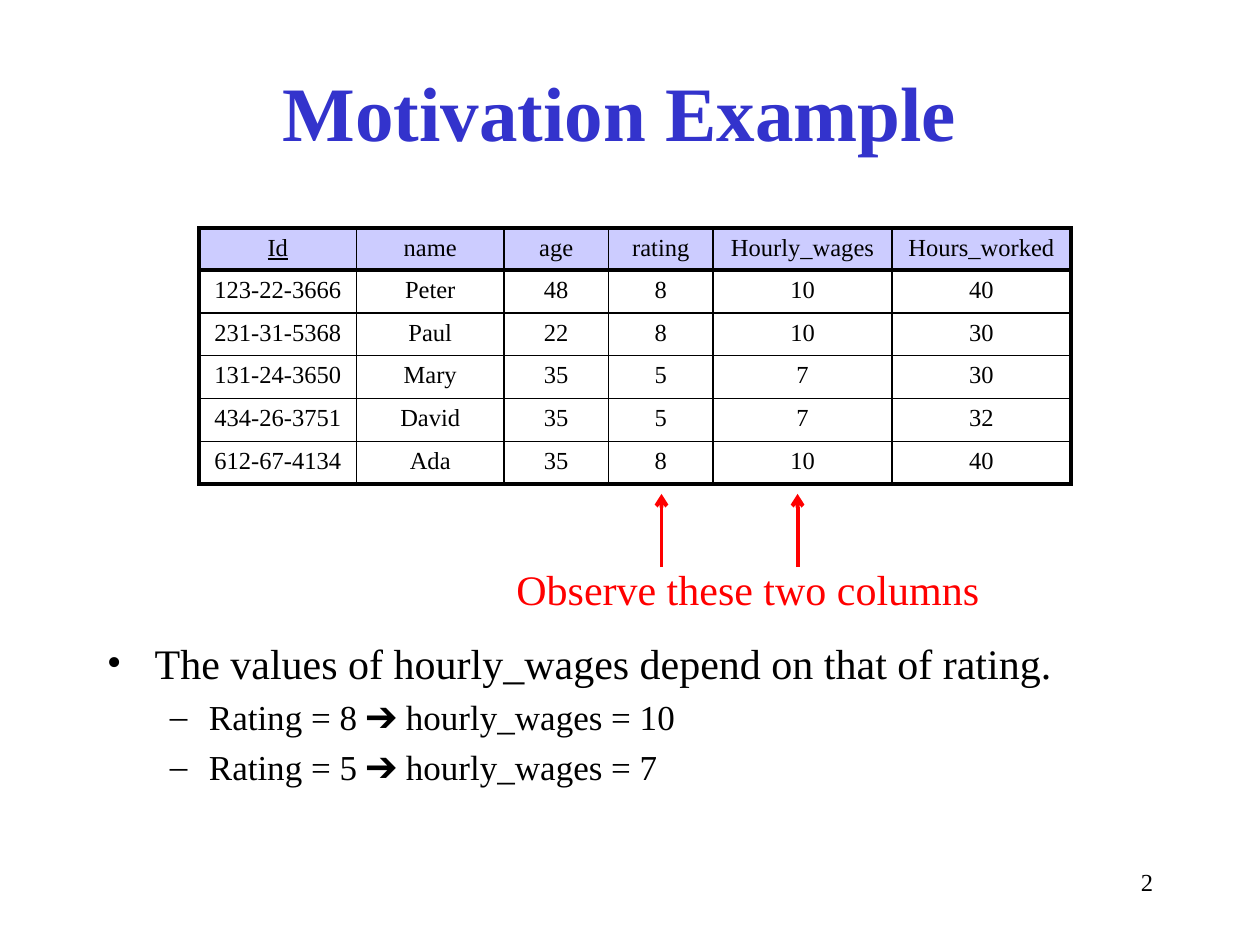
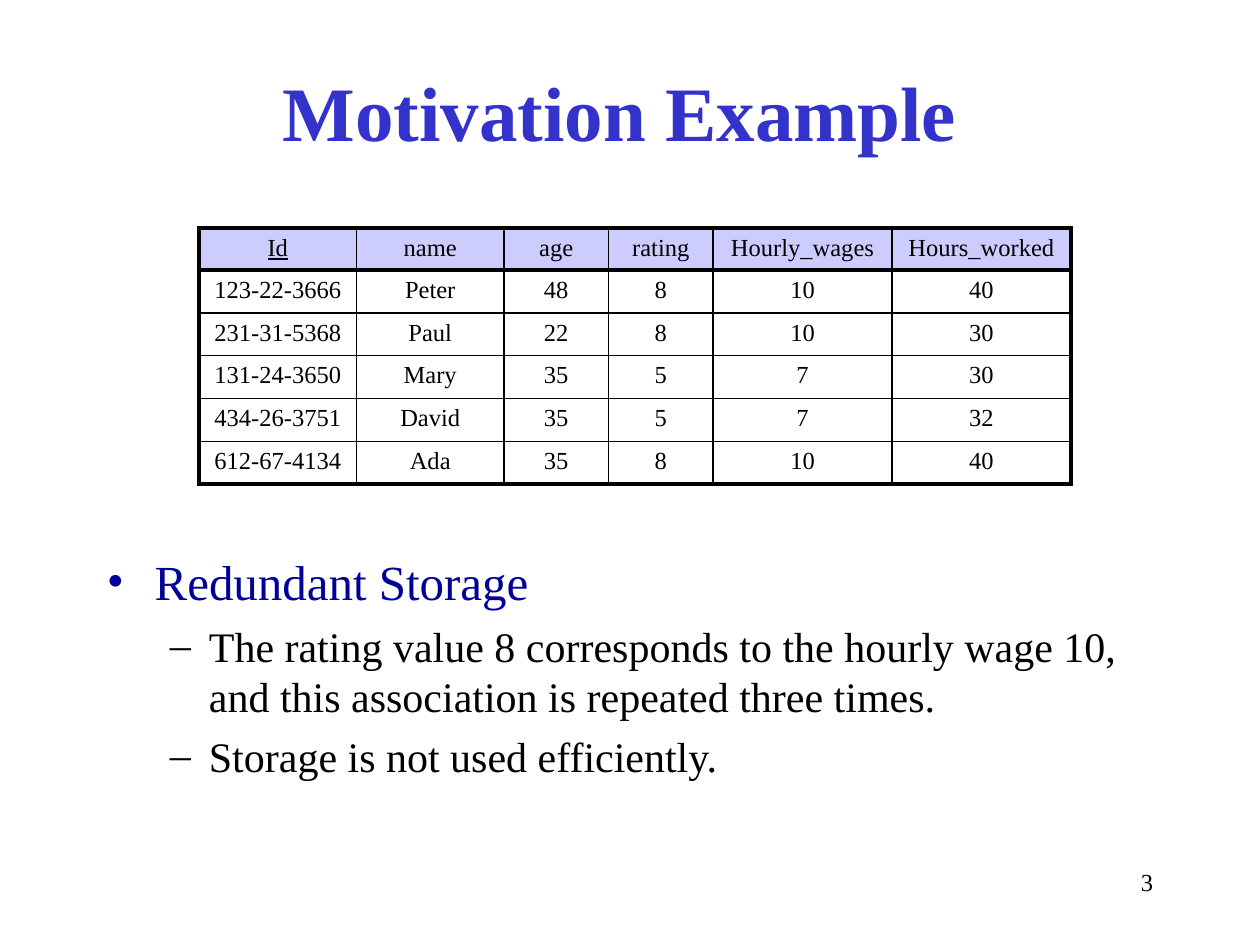
from dataclasses import dataclass

from lxml import etree
from pptx import Presentation
from pptx.dml.color import RGBColor
from pptx.enum import shapes, text
from pptx.oxml.ns import qn
from pptx.util import Inches, Pt


@dataclass(frozen=True)
class Theme:
    font: str = "Times New Roman"
    ink: str = "000000"
    title: str = "3333CC"
    topic: str = "000099"
    alert: str = "FF0000"
    header_fill: str = "CCCCFF"
    title_size: int = 44
    topic_size: int = 28
    body_size: int = 24
    detail_size: int = 20
    small_size: int = 14
    thick: float = 2.25
    thin: float = 1
    paragraph_gap: float = 0.23  # share of the type size


@dataclass(frozen=True)
class Box:
    left: float
    top: float
    width: float
    height: float

    def emu(self):
        return [Inches(v) for v in (self.left, self.top, self.width, self.height)]


THEME = Theme()
CENTER, RIGHT = text.PP_ALIGN.CENTER, text.PP_ALIGN.RIGHT

TITLE_BOX = Box(0.67, 0.25, 8.5, 1.25)
NUMBER_BOX = Box(7.17, 6.83, 2.08, 0.5)
TABLE_BOX = Box(1.58, 1.81, 6.92, 2.03)
CALLOUT_BOX = Box(4, 3.92, 3.91, 1.01)

COLUMN_WIDTHS = (1.25, 1.17, 0.83, 0.83, 1.42, 1.42)
HEADER_HEIGHT = 0.33
EMPLOYEES = (
    ("Id", "name", "age", "rating", "Hourly_wages", "Hours_worked"),
    ("123-22-3666", "Peter", "48", "8", "10", "40"),
    ("231-31-5368", "Paul", "22", "8", "10", "30"),
    ("131-24-3650", "Mary", "35", "5", "7", "30"),
    ("434-26-3751", "David", "35", "5", "7", "32"),
    ("612-67-4134", "Ada", "35", "8", "10", "40"),
)
# Bullet sign, left margin and hanging indent for each level
BULLETS = (("•", 0.38, 0.38), ("–", 0.81, 0.31))


def add_xml(parent, tag, **attributes):
    return etree.SubElement(parent, qn(tag), attributes)


def write(paragraph, wording, size=THEME.body_size, color=THEME.ink,
          bold=False, underline=False, align=None):
    run = paragraph.add_run()
    run.text = wording
    font = run.font
    font.name, font.size = THEME.font, Pt(size)
    font.bold, font.underline = bold, underline
    font.color.rgb = RGBColor.from_string(color)
    if align is not None:
        paragraph.alignment = align


def add_frame(slide, box, wrap=True):
    frame = slide.shapes.add_textbox(*box.emu()).text_frame
    frame.word_wrap = wrap
    return frame


def add_title(slide, box, wording):
    title = slide.shapes.title
    title.left, title.top, title.width, title.height = box.emu()
    frame = title.text_frame
    frame.auto_size = text.MSO_AUTO_SIZE.NONE
    frame.vertical_anchor = text.MSO_ANCHOR.MIDDLE
    write(frame.paragraphs[0], wording, size=THEME.title_size,
          color=THEME.title, bold=True, align=CENTER)


def add_slide_number(slide, box, number):
    write(add_frame(slide, box).paragraphs[0], str(number),
          size=THEME.small_size, align=RIGHT)


def set_borders(cell, **widths):
    properties = cell._tc.get_or_add_tcPr()
    for side in "LRTB":
        line = add_xml(properties, f"a:ln{side}", w=str(Pt(widths[side])))
        add_xml(add_xml(line, "a:solidFill"), "a:srgbClr", val=THEME.ink)


def add_employee_table(slide, box):
    last_row, last_column = len(EMPLOYEES) - 1, len(COLUMN_WIDTHS) - 1
    table = slide.shapes.add_table(last_row + 1, last_column + 1, *box.emu()).table
    table.first_row = table.horz_banding = False
    for column, width in zip(table.columns, COLUMN_WIDTHS):
        column.width = Inches(width)
    for r, record in enumerate(EMPLOYEES):
        table.rows[r].height = Inches(
            (box.height - HEADER_HEIGHT) / last_row if r else HEADER_HEIGHT)
        for c, value in enumerate(record):
            cell = table.cell(r, c)
            thick_sides = {"L": c == 0, "R": c == last_column,
                           "T": r <= 1, "B": r in (0, last_row)}
            set_borders(cell, **{side: THEME.thick if thick else THEME.thin
                                 for side, thick in thick_sides.items()})
            if r == 0:
                cell.fill.solid()
                cell.fill.fore_color.rgb = RGBColor.from_string(THEME.header_fill)
            else:
                cell.fill.background()
            write(cell.text_frame.paragraphs[0], value, size=THEME.small_size,
                  underline=r == c == 0, align=CENTER)


def add_up_arrow(slide, x, bottom, top):
    arrow = slide.shapes.add_connector(
        shapes.MSO_CONNECTOR.STRAIGHT,
        Inches(x), Inches(bottom), Inches(x), Inches(top))
    arrow.line.color.rgb = RGBColor.from_string(THEME.alert)
    arrow.line.width = Pt(THEME.thick)
    properties = arrow._element.spPr
    add_xml(properties.find(qn("a:ln")), "a:tailEnd", type="arrow")
    add_xml(properties, "a:effectLst")


def add_column_callout(slide, box):
    """Put a remark below arrows to the rating and wage columns."""
    label_offset, arrow_length = 0.5, 0.58
    label = Box(box.left, box.top + label_offset, box.width, box.height - label_offset)
    write(add_frame(slide, label, wrap=False).paragraphs[0],
          "Observe these two columns", color=THEME.alert)
    for offset in (1.25, 2.33):
        add_up_arrow(slide, box.left + offset, box.top + arrow_length, box.top)


def add_bullets(slide, box, items):
    """Items are (level, wording, size, color)."""
    frame = add_frame(slide, box)
    for i, (level, wording, size, color) in enumerate(items):
        paragraph = frame.add_paragraph() if i else frame.paragraphs[0]
        paragraph.level = level
        if i:
            paragraph.space_before = Pt(round(size * THEME.paragraph_gap, 1))
        sign, margin, hanging = BULLETS[level]
        properties = paragraph._p.get_or_add_pPr()
        properties.set("marL", str(Inches(margin)))
        properties.set("indent", str(-Inches(hanging)))
        add_xml(properties, "a:buFont", typeface=THEME.font)
        add_xml(properties, "a:buChar", char=sign)
        write(paragraph, wording, size=size, color=color)


def add_example_slide(deck, number, bullets_box, bullets):
    slide = deck.slides.add_slide(deck.slide_layouts[5])
    add_title(slide, TITLE_BOX, "Motivation Example")
    add_slide_number(slide, NUMBER_BOX, number)
    add_employee_table(slide, TABLE_BOX)
    add_bullets(slide, bullets_box, bullets)
    return slide


def main():
    deck = Presentation()
    deck.slide_width, deck.slide_height = Inches(10), Inches(7.5)

    dependency = add_example_slide(deck, 2, Box(0.75, 5.01, 8.5, 1.66), (
        (0, "The values of hourly_wages depend on that of rating.",
         THEME.body_size, THEME.ink),
        (1, "Rating = 8 ➔ hourly_wages = 10", THEME.detail_size, THEME.ink),
        (1, "Rating = 5 ➔ hourly_wages = 7", THEME.detail_size, THEME.ink),
    ))
    add_column_callout(dependency, CALLOUT_BOX)

    add_example_slide(deck, 3, Box(0.75, 4.33, 8.5, 2.33), (
        (0, "Redundant Storage", THEME.topic_size, THEME.topic),
        (1, "The rating value 8 corresponds to the hourly wage 10, "
            "and this association is repeated three times.",
         THEME.body_size, THEME.ink),
        (1, "Storage is not used efficiently.", THEME.body_size, THEME.ink),
    ))
    deck.save("out.pptx")


if __name__ == "__main__":
    main()
